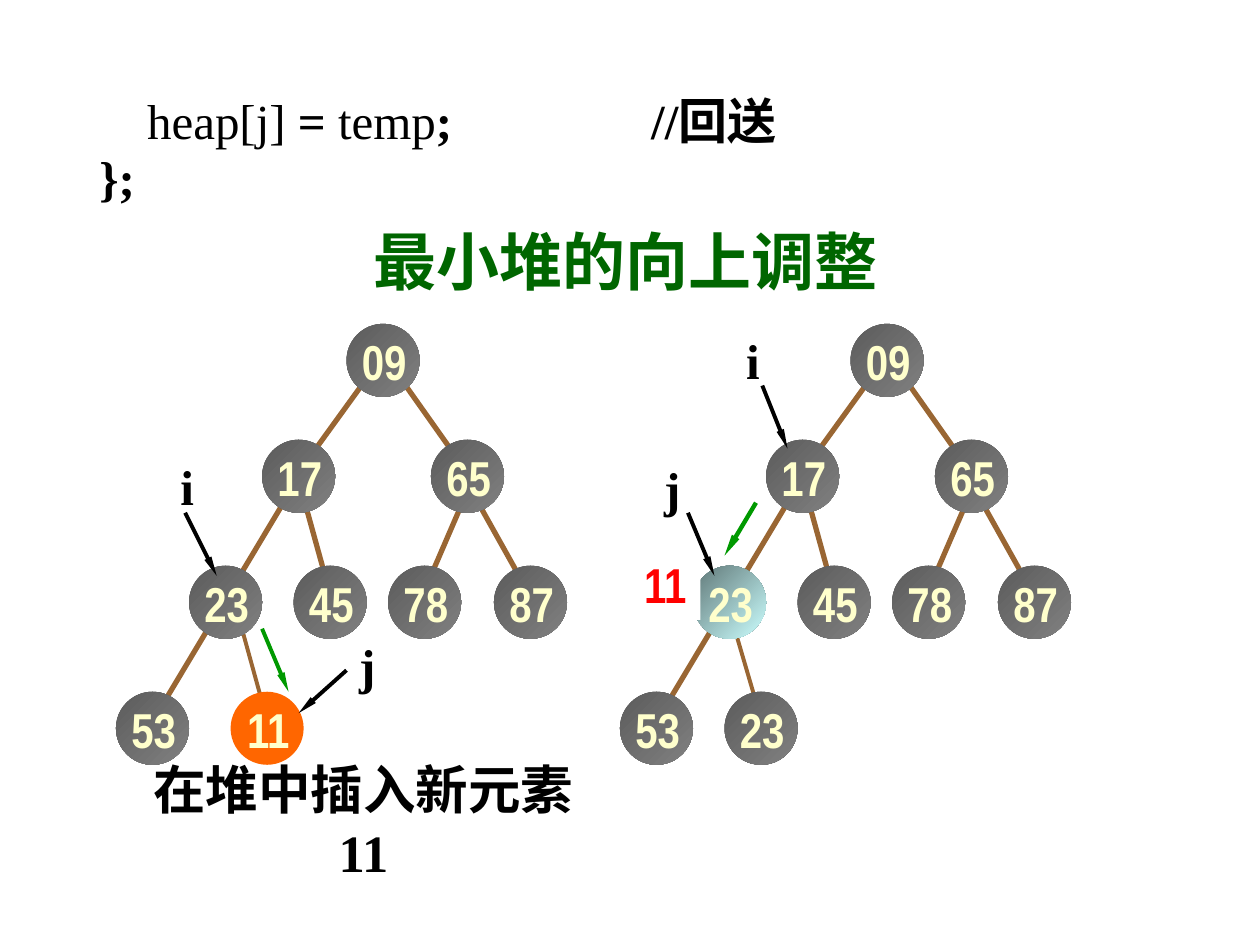
from dataclasses import dataclass
from typing import NamedTuple

from pptx import Presentation
from pptx.dml.color import RGBColor as Rgb
from pptx.enum.shapes import MSO_CONNECTOR as Conn, MSO_SHAPE as Shape
from pptx.enum.text import MSO_ANCHOR as Anchor, MSO_AUTO_SIZE as Fit, PP_ALIGN as Align
from pptx.oxml.ns import qn
from pptx.util import Inches, Pt
from lxml.etree import SubElement


@dataclass(frozen=True)
class Theme:
    serif: str = "Times New Roman"
    narrow: str = "Arial Narrow"
    ink: str = "000000"
    title: str = "006600"
    label: str = "FFFFCC"
    new: str = "FF0000"
    edge: str = "996633"
    move: str = "009900"
    paper: str = "FFFFFF"
    gray: tuple = ("5C5C5C", "808080")
    cyan: tuple = ("5E7676", "CCFFFF")
    orange: tuple = ("FF6600",)
    body: int = 28
    note: int = 30
    head: int = 36


class Node(NamedTuple):
    text: str
    x: float
    y: float
    fill: tuple


class Line(NamedTuple):
    x1: float
    y1: float
    x2: float
    y2: float
    color: str
    width: float


class Mark(NamedTuple):
    text: str
    x: float
    y: float
    width: float


T = Theme()
SIZE = 0.58  # node diameter
BOX = (0.56, 0.57)  # label box
SHIFT = 4  # distance between the two trees

# Node rows and edges shared by both trees
ROOT, MID, LOW, LEAF = 2.57, 3.49, 4.49, 5.49
NODES = [("09", 2.75, ROOT), ("17", 2.08, MID), ("65", 3.42, MID),
         ("45", 2.33, LOW), ("78", 3.08, LOW), ("87", 3.92, LOW),
         ("53", 0.92, LEAF)]
EDGES = [(3.75, 3.91, 4.17, 4.66), (3.67, 3.99, 3.42, 4.57),
         (3.17, 2.99, 3.58, 3.57), (2.42, 3.99, 2.58, 4.57),
         (2.92, 2.99, 2.5, 3.57), (2.25, 3.99, 1.25, 5.66)]


def style(run, size: float, color: str, font: str, bold: bool = True) -> None:
    run.font.size, run.font.name, run.font.bold = Pt(size), font, bold
    run.font.color.rgb = Rgb.from_string(color)


def fill_text(frame, text: str, size: float, color: str, font: str) -> None:
    frame.text = text
    frame.word_wrap = False
    frame.auto_size = Fit.SHAPE_TO_FIT_TEXT
    frame.vertical_anchor = Anchor.MIDDLE
    para = frame.paragraphs[0]
    para.alignment = Align.CENTER
    style(para.runs[0], size, color, font)


def add_box(shapes, x: float, y: float, w: float, h: float):
    return shapes.add_textbox(Inches(x), Inches(y), Inches(w), Inches(h)).text_frame


def add_form(shapes, kind, x: float, y: float, w: float, h: float, colors: tuple):
    form = shapes.add_shape(kind, Inches(x), Inches(y), Inches(w), Inches(h))
    form.shadow.inherit = False
    form.line.fill.background()
    if len(colors) == 1:
        form.fill.solid()
        form.fill.fore_color.rgb = Rgb.from_string(colors[0])
    else:
        form.fill.gradient()
        form.fill.gradient_angle = 315
        for stop, color in zip(form.fill.gradient_stops, colors):
            stop.color.rgb = Rgb.from_string(color)
    return form


def add_node(shapes, node: Node) -> None:
    add_form(shapes, Shape.OVAL, node.x, node.y, SIZE, SIZE, node.fill)
    frame = add_box(shapes, node.x + 0.02, node.y + 0.01, *BOX)
    fill_text(frame, node.text, T.body, T.label, T.narrow)


def add_line(shapes, line: Line, arrow: bool = False) -> None:
    ends = [Inches(v) for v in line[:4]]
    conn = shapes.add_connector(Conn.STRAIGHT, *ends)
    conn.line.color.rgb = Rgb.from_string(line.color)
    conn.line.width = Pt(line.width)
    if arrow:
        SubElement(conn.line._get_or_add_ln(), qn("a:tailEnd"),
                   type="triangle", w="sm", len="lg")
    SubElement(conn._element.spPr, qn("a:effectLst"))


def add_tree(shapes, dx: float, extra: list[Node], twig: Line) -> None:
    add_line(shapes, twig)
    for x1, y1, x2, y2 in EDGES:
        add_line(shapes, Line(x1 + dx, y1, x2 + dx, y2, T.edge, 3))
    for text, x, y in NODES:
        add_node(shapes, Node(text, x + dx, y, T.gray))
    for node in extra:
        add_node(shapes, node)


def set_space(para, before: int) -> None:
    """Line spacing of 80% and space before as a percentage."""
    para.line_spacing = 0.8
    para.space_before = Pt(0)
    space = para._p.pPr.find(qn("a:spcBef"))
    space.remove(space[0])
    SubElement(space, qn("a:spcPct"), val=str(before * 1000))


def add_code(shapes) -> None:
    frame = add_box(shapes, 0.69, 0.76, 9, 1.1)
    frame.word_wrap = True
    rows = [[("\t", True), ("heap[j]", False), (" = ", True),
             ("temp", False), (";\t\t\t\t//回送", True)],
            [("};", True)]]
    for i, row in enumerate(rows):
        para = frame.add_paragraph() if i else frame.paragraphs[0]
        set_space(para, 20)
        para._p.pPr.set("marL", str(Inches(0.38)))
        para._p.pPr.set("indent", str(Inches(-0.38)))
        for text, bold in row:
            run = para.add_run()
            run.text = text
            style(run, T.body, T.ink, T.serif, bold)


def main() -> None:
    deck = Presentation()
    deck.slide_width, deck.slide_height = Inches(10), Inches(7.5)
    shapes = deck.slides.add_slide(deck.slide_layouts[6]).shapes

    # Caption, wrapped before the number
    note = add_box(shapes, 0.91, 6.21, 3.95, 0.6)
    fill_text(note, "在堆中插入新元素11", T.note, T.ink, T.serif)
    note.word_wrap = True
    note.margin_left = note.margin_right = Inches(0.2)

    # Trees before and after the swap
    add_tree(shapes, 0, [Node("23", 1.5, LOW, T.gray), Node("11", 1.83, LEAF, T.orange)],
             Line(1.92, 4.99, 2.08, 5.57, T.edge, 2.25))
    add_tree(shapes, SHIFT, [Node("23", 5.5, LOW, T.cyan), Node("23", 5.75, LEAF, T.gray)],
             Line(5.83, 4.99, 6, 5.57, T.edge, 2.25))

    # New value waiting beside its place
    wait = add_form(shapes, Shape.RECTANGLE, 5, 4.35, *BOX, (T.paper,))
    fill_text(wait.text_frame, "11", T.body, T.new, T.narrow)

    # Index marks and arrows
    for mark in [Mark("i", 1.33, 3.57, 0.31), Mark("j", 2.75, 4.99, 0.33),
                 Mark("i", 5.82, 2.57, 0.31), Mark("j", 5.17, 3.59, 0.33)]:
        frame = add_box(shapes, mark.x, mark.y, mark.width, BOX[1])
        fill_text(frame, mark.text, T.body, T.ink, T.serif)
    for line in [Line(1.47, 4.07, 1.72, 4.57, T.ink, 2.25),
                 Line(2.75, 5.32, 2.37, 5.66, T.ink, 2.25),
                 Line(6.05, 3.06, 6.25, 3.56, T.ink, 2.25),
                 Line(5.46, 4.07, 5.67, 4.57, T.ink, 2.25),
                 Line(2.08, 4.99, 2.29, 5.49, T.move, 2.25),
                 Line(6, 3.99, 5.75, 4.41, T.move, 2.5)]:
        add_line(shapes, line, arrow=True)

    # Title and code
    title = add_box(shapes, 2.87, 1.83, 4.67, 0.58)
    title.text = "最小堆的向上调整"
    title.word_wrap = True
    title.auto_size = Fit.SHAPE_TO_FIT_TEXT
    set_space(title.paragraphs[0], 50)
    style(title.paragraphs[0].runs[0], T.head, T.title, T.serif)
    add_code(shapes)

    deck.save("out.pptx")


if __name__ == "__main__":
    main()
